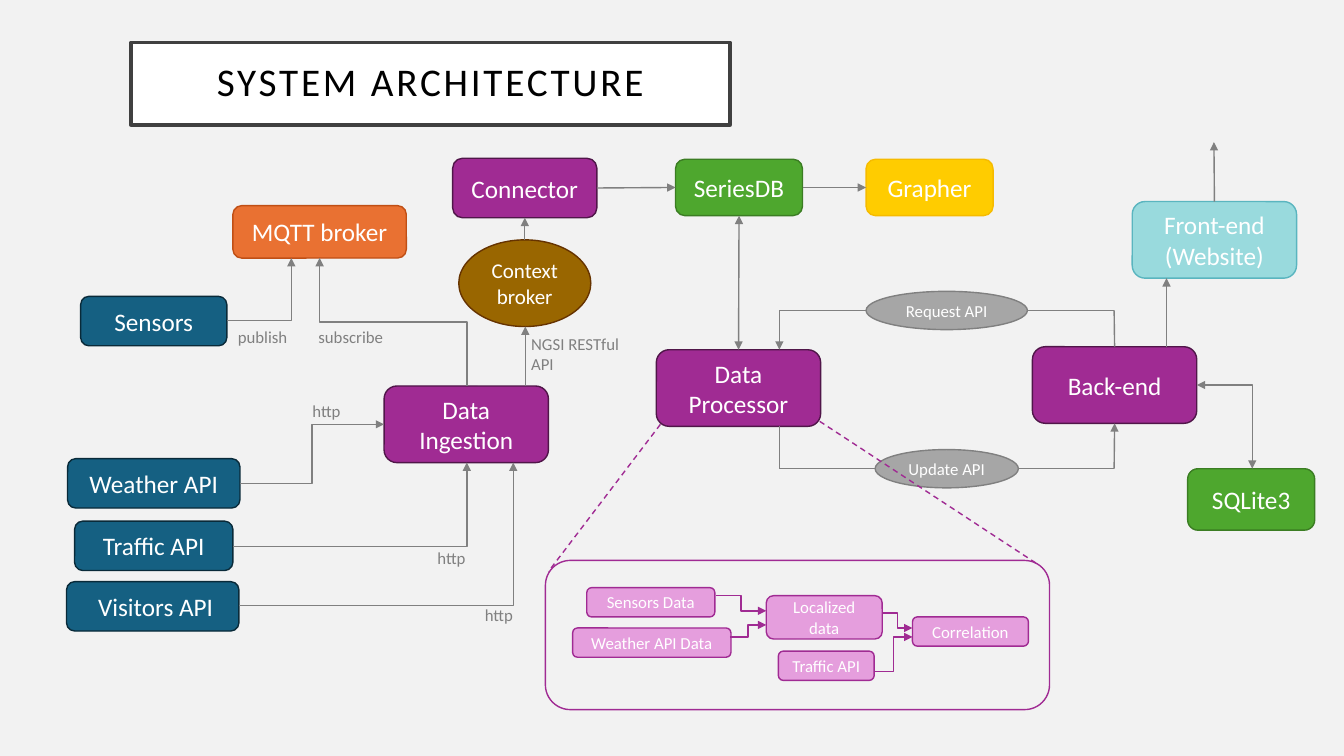
from lxml import etree
from pptx import Presentation
from pptx import util as u
from pptx.dml.color import RGBColor
from pptx.enum import dml, shapes, text
from pptx.oxml.ns import qn

PX = 9144
GREY, PLUM, PINK, BLUE, GREEN = "808080", "A02B93", "E59EDD", "156082", "4EA72E"
TOP, LEFT, BOTTOM, RIGHT = range(4)
ROUND, OVAL = shapes.MSO_SHAPE.ROUNDED_RECTANGLE, shapes.MSO_SHAPE.OVAL


def px(value):
    return u.Emu(round(value * PX))


def colour(code):
    return RGBColor.from_string(code)


def assign(target, values):
    for name, value in values.items():
        setattr(target, name, value)


class Diagram:
    """Draws the parts of an architecture diagram on one slide."""

    font = "Calibri"

    def __init__(self, page):
        self.page = page

    def place(self, box, at):
        assign(box, dict(zip(("left", "top", "width", "height"), map(px, at))))

    def add_words(self, box, words, size, code, align, anchor, inset=None):
        frame = box.text_frame
        assign(frame, {"word_wrap": True, "vertical_anchor": anchor,
                       "auto_size": text.MSO_AUTO_SIZE.NONE})
        if inset is not None:
            sides = ("left", "top", "right", "bottom")
            assign(frame, {f"margin_{side}": px(inset) for side in sides})
        para = frame.paragraphs[0]
        para.alignment = align
        span = para.add_run()
        span.text = words
        assign(span.font, {"name": self.font, "size": u.Pt(size), "bold": False})
        span.font.color.rgb = colour(code)
        return para, span

    def paint(self, box, fill, line, width=1):
        if fill:
            box.fill.solid()
            box.fill.fore_color.rgb = colour(fill)
        else:
            box.fill.background()
        box.line.color.rgb = colour(line)
        box.line.width = u.Pt(width)

    def title(self, words, at):
        box = self.page.shapes.title
        self.place(box, at)
        self.paint(box, "FFFFFF", "404040", 2.5)
        para, span = self.add_words(box, words, 28, "000000", text.PP_ALIGN.CENTER,
                                    text.MSO_ANCHOR.MIDDLE, 20)
        para.line_spacing = 0.9
        span.font._element.set("spc", "200")

    def box(self, words, at, fill, line, size=18, kind=ROUND):
        box = self.page.shapes.add_shape(kind, *map(px, at))
        box.shadow.inherit = False
        self.paint(box, fill, line)
        if words:
            self.add_words(box, words, size, "FFFFFF", text.PP_ALIGN.CENTER,
                           text.MSO_ANCHOR.MIDDLE)
        return box

    def label(self, words, at):
        box = self.page.shapes.add_textbox(*map(px, at))
        self.add_words(box, words, 12, GREY, text.PP_ALIGN.LEFT, text.MSO_ANCHOR.TOP)

    def style(self, wire, code, heads, dashed=False):
        wire.line.color.rgb = colour(code)
        wire.line.width = u.Pt(1)
        if dashed:
            wire.line.dash_style = dml.MSO_LINE.DASH
        outline = wire.line._get_or_add_ln()
        for tag in ("headEnd", "tailEnd")[2 - heads:]:
            etree.SubElement(outline, qn(f"a:{tag}"), type="triangle")
        etree.SubElement(wire._element.spPr, qn("a:effectLst"))

    def line(self, points, begin=None, end=None, code=GREY, heads=1, dashed=False):
        wire = self.page.shapes.add_connector(
            shapes.MSO_CONNECTOR.STRAIGHT, *map(px, points))
        if begin:
            wire.begin_connect(*begin)
        if end:
            wire.end_connect(*end)
        self.style(wire, code, heads, dashed)

    def elbow(self, points, code=GREY, heads=1, corner=False, upward=False):
        if upward:
            x1, y1, x2, y2 = points
            across, along = abs(x2 - x1) / 2, abs(y2 - y1) / 2
            x, y = (x1 + x2) / 2, (y1 + y2) / 2
            points = x - along, y + across, x + along, y - across
        wire = self.page.shapes.add_connector(
            shapes.MSO_CONNECTOR.ELBOW, *map(px, points))
        form = wire._element.spPr
        if corner:
            form.find(qn("a:prstGeom")).set("prst", "bentConnector2")
        if upward:
            form.find(qn("a:xfrm")).set("rot", "16200000")
        self.style(wire, code, heads)


def main():
    deck = Presentation()
    deck.slide_width, deck.slide_height = px(1333), px(750)
    page = deck.slides.add_slide(deck.slide_layouts[5])
    page.background.fill.solid()
    page.background.fill.fore_color.rgb = colour("F2F2F2")
    art = Diagram(page)
    art.title("SYSTEM ARCHITECTURE", (130, 42, 594, 82))

    for words, at in (("Sensors", (80, 294, 145, 49)),
                      ("Weather API", (67, 455, 171, 49)),
                      ("Traffic API", (74, 517, 157, 49)),
                      (" Visitors API", (66, 577, 171, 49))):
        art.box(words, at, BLUE, "092A39")
    art.box("MQTT broker", (231, 204, 172, 52), "E97132", "C04F15")
    database = art.box("SeriesDB", (670, 158, 126, 56), GREEN, "3B7D23")
    art.box("SQLite3", (1178, 465, 126, 61), GREEN, "3B7D23")
    dashboard = art.box("Grapher", (859, 158, 126, 56), "FFCC00", "F6BB00")
    website = art.box("Front-end (Website)", (1123, 200, 163, 76), "99DADD", "5AB5BF")
    context = art.box("Context broker", (455, 238, 131, 86), "996600", "663300", 15, OVAL)
    ingestion, processor, backend, connector = [
        art.box(words, at, PLUM, "501649") for words, at in (
            ("Data Ingestion", (381, 383, 163, 76)),
            ("Data Processor", (651, 347, 163, 76)),
            ("Back-end", (1024, 344, 163, 76)),
            ("Connector", (449, 157, 143, 59)))]

    art.box("", (541, 556, 500, 148), None, PLUM)
    for words, at in (("Sensors Data", (582, 583, 127, 29)),
                      ("Weather API Data", (568, 623, 157, 29)),
                      ("Localized data", (760, 591, 115, 43)),
                      ("Traffic API", (772, 646, 95, 29)),
                      ("Correlation", (905, 612, 115, 29))):
        art.box(words, at, PINK, PLUM, 12)
    for points in ((710, 591, 760, 606), (724, 632, 760, 620),
                   (875, 608, 905, 623), (867, 666, 905, 632)):
        art.elbow(points, PLUM)

    art.elbow((238, 480, 381, 421))
    art.elbow((463, 383, 317, 256), upward=True)
    for points in ((225, 318, 289, 256), (231, 542, 463, 459), (237, 601, 509, 459)):
        art.elbow(points, corner=True)
    art.elbow((1187, 382, 1242, 465), heads=2, corner=True)

    art.line((521, 383, 521, 324))
    art.line((521, 238, 521, 216), (context, TOP), (connector, BOTTOM))
    art.line((592, 186, 670, 186), (connector, RIGHT), (database, LEFT))
    art.line((796, 186, 859, 186), (database, RIGHT), (dashboard, LEFT))
    art.line((733, 347, 733, 214), (processor, TOP), (database, BOTTOM), heads=2)
    art.line((1157, 344, 1157, 276))
    art.line((1204, 200, 1204, 141), (website, TOP))

    art.line((1105, 344, 1105, 308), (backend, TOP), heads=0)
    art.line((773, 308, 1105, 308), heads=0)
    art.line((773, 308, 773, 347))
    art.line((773, 423, 773, 465), heads=0)
    art.line((773, 465, 1105, 465), heads=0)
    art.line((1105, 465, 1105, 420), end=(backend, BOTTOM))
    for words, at in (("Request API", (859, 289, 160, 38)),
                      ("Update API", (868, 446, 142, 38))):
        art.box(words, at, "A6A6A6", GREY, 12, OVAL)
    for points in ((655, 421, 544, 567), (813, 418, 1028, 559)):
        art.line(points, code=PLUM, heads=0, dashed=True)

    for words, at in (("publish", (226, 319, 75, 30)),
                      ("subscribe", (306, 319, 107, 30)),
                      ("http", (300, 393, 50, 30)),
                      ("http", (424, 538, 50, 30)),
                      ("http", (471, 595, 50, 30)),
                      ("NGSI RESTful API", (517, 326, 120, 50))):
        art.label(words, at)
    deck.save("out.pptx")


if __name__ == "__main__":
    main()
